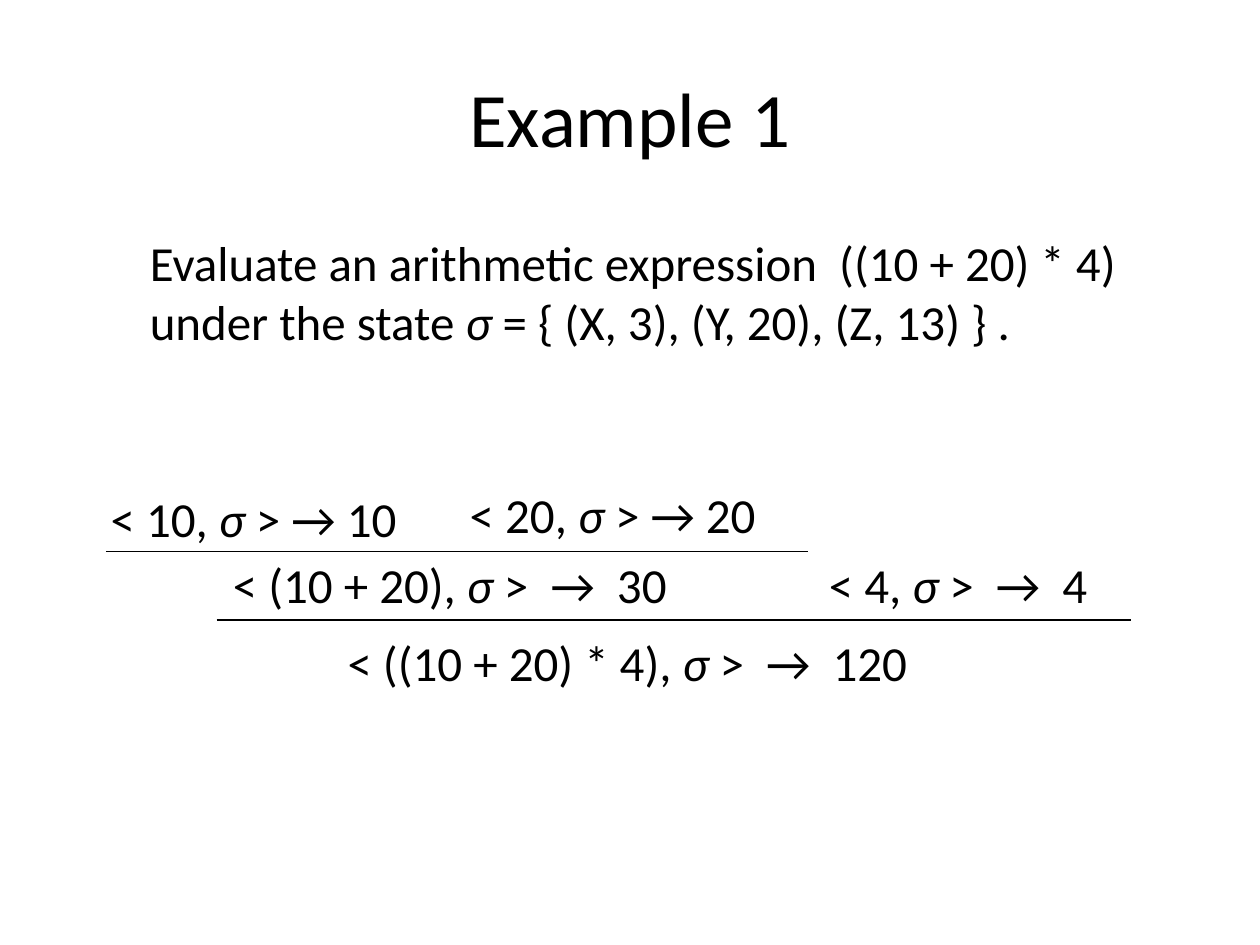
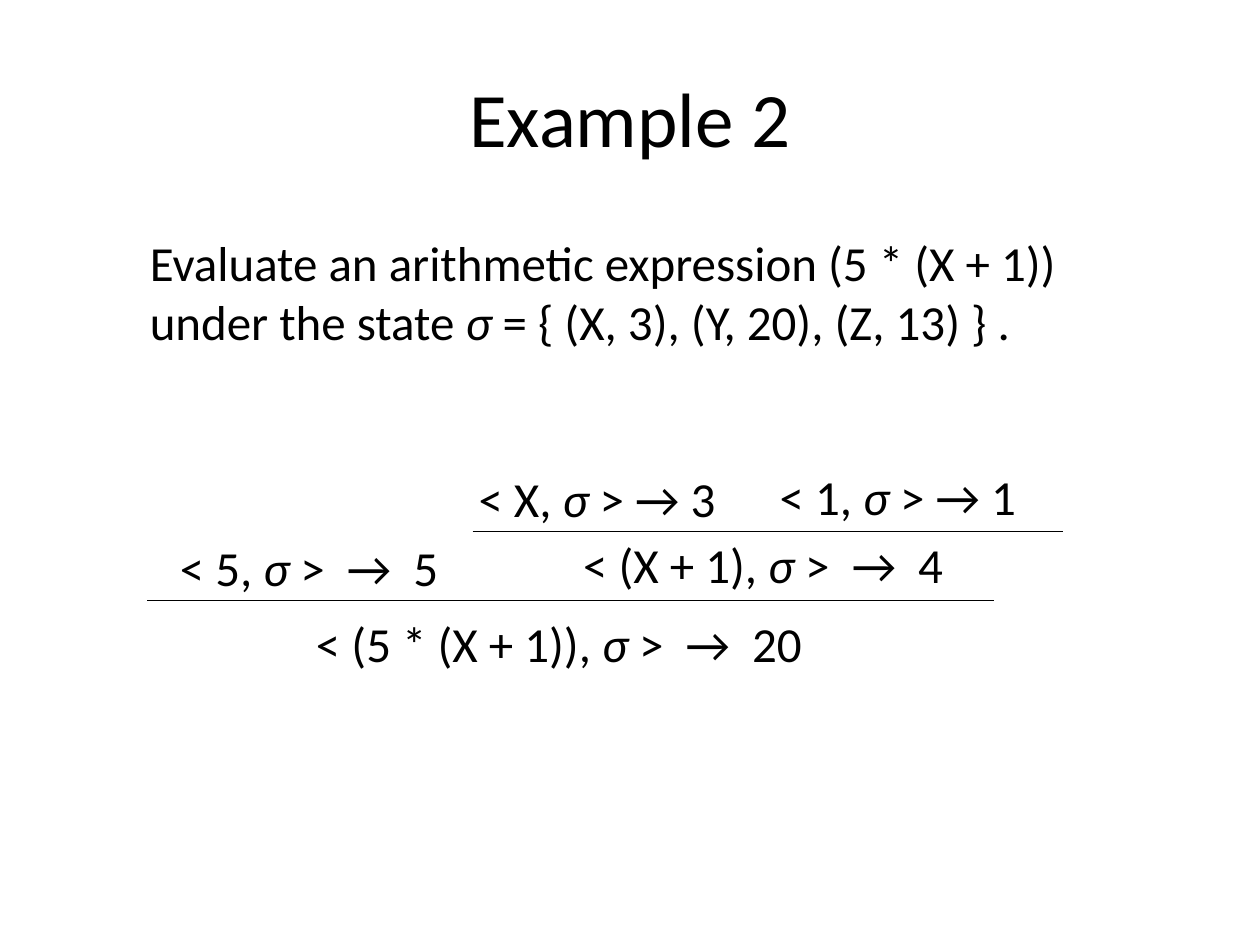
from dataclasses import dataclass

from lxml import etree
from pptx import Presentation
from pptx.dml.color import RGBColor
from pptx.enum.shapes import MSO_CONNECTOR as Connector
from pptx.enum.text import MSO_ANCHOR as Anchor, MSO_AUTO_SIZE as AutoSize, PP_ALIGN as Align
from pptx.oxml.ns import qn
from pptx.util import Inches, Pt

SLIDE_WIDTH, SLIDE_HEIGHT = Inches(10), Inches(7.5)
COLUMNS, ROWS = 100, 75
STATE = "σ"


@dataclass(frozen=True)
class Theme:
    font: str = "Calibri"
    ink: RGBColor = RGBColor(0, 0, 0)
    paper: RGBColor = RGBColor(255, 255, 255)
    title_size: int = 44
    body_size: int = 28
    rule_width: float = 0.75


class Deck:
    """Holds the theme and the current slide; lengths are grid columns and rows."""

    def __init__(self, theme):
        self.theme = theme
        self.presentation = Presentation()
        self.presentation.slide_width = SLIDE_WIDTH
        self.presentation.slide_height = SLIDE_HEIGHT
        self.slide = None

    def x(self, column):
        return round(SLIDE_WIDTH * column / COLUMNS)

    def y(self, row):
        return round(SLIDE_HEIGHT * row / ROWS)

    def style(self, run, size):
        run.font.name = self.theme.font
        run.font.size = Pt(size)
        run.font.color.rgb = self.theme.ink

    def start_slide(self, heading):
        self.slide = self.presentation.slides.add_slide(self.presentation.slide_layouts[5])
        background = self.slide.background.fill
        background.solid()
        background.fore_color.rgb = self.theme.paper
        title = self.slide.shapes.title
        title.left, title.top = self.x(5), self.y(3)
        title.width, title.height = self.x(90), self.y(12.5)
        title.text_frame.text = heading
        title.text_frame.vertical_anchor = Anchor.MIDDLE
        paragraph = title.text_frame.paragraphs[0]
        paragraph.alignment = Align.CENTER
        self.style(paragraph.runs[0], self.theme.title_size)

    def formula(self, wording, column, row, width, height=5.7, wrap=False):
        """Add text in which the state symbol is italic."""
        box = self.slide.shapes.add_textbox(
            self.x(column), self.y(row), self.x(width), self.y(height))
        frame = box.text_frame
        frame.word_wrap = wrap
        frame.auto_size = AutoSize.SHAPE_TO_FIT_TEXT
        for part in wording.partition(STATE):
            run = frame.paragraphs[0].add_run()
            run.text = part
            self.style(run, self.theme.body_size)
            run.font.italic = part == STATE

    def task(self, expression, width):
        self.formula(
            f"Evaluate an arithmetic expression {expression} under the state "
            f"{STATE} = {{ (X, 3), (Y, 20), (Z, 13) }} .",
            10.9, 18, width, 10.4, wrap=True)

    def inference_rule(self, start, end, row):
        """Draw the bar between premises and conclusion."""
        bar = self.slide.shapes.add_connector(
            Connector.STRAIGHT, self.x(start), self.y(row), self.x(end), self.y(row))
        bar.line.color.rgb = self.theme.ink
        bar.line.width = Pt(self.theme.rule_width)
        etree.SubElement(bar._element.spPr, qn("a:effectLst"))


# Each judgement: wording, column, row, width. Each bar: start, end, row.
EXAMPLES = [
    {
        "task": (" ((10 + 20) * 4)", 81.2),
        "judgements": [
            ("< 10, σ > → 10", 7.8, 38.3, 25.6),
            ("< 20, σ > → 20", 36.3, 38, 25.6),
            ("< (10 + 20), σ >  →  30", 17.5, 43.5, 38.9),
            ("< 4, σ >  →  4", 64.8, 43.5, 25.2),
            ("< ((10 + 20) * 4), σ >  →  120", 26.6, 49.7, 49.9),
        ],
        "bars": [(8.4, 64.1, 43.75), (17.2, 89.8, 49.2)],
    },
    {
        "task": ("(5 * (X + 1))", 78.1),
        "judgements": [
            ("< X, σ > → 3", 37, 36.7, 21.7),
            ("< 1, σ > → 1", 60.9, 36.5, 21.6),
            ("< 5, σ >  →  5", 13.3, 42.2, 23.4),
            ("< (X + 1), σ >  →  4", 45.3, 41.9, 31.6),
            ("< (5 * (X + 1)), σ >  →  20", 24.1, 48.2, 42.6),
        ],
        "bars": [(37.5, 84.4, 42.2), (11.7, 78.9, 47.65)],
    },
]


def main():
    deck = Deck(Theme())
    for number, example in enumerate(EXAMPLES, start=1):
        deck.start_slide(f"Example {number}")
        deck.task(*example["task"])
        for judgement in example["judgements"]:
            deck.formula(*judgement)
        for bar in example["bars"]:
            deck.inference_rule(*bar)
    deck.presentation.save("out.pptx")


if __name__ == "__main__":
    main()
